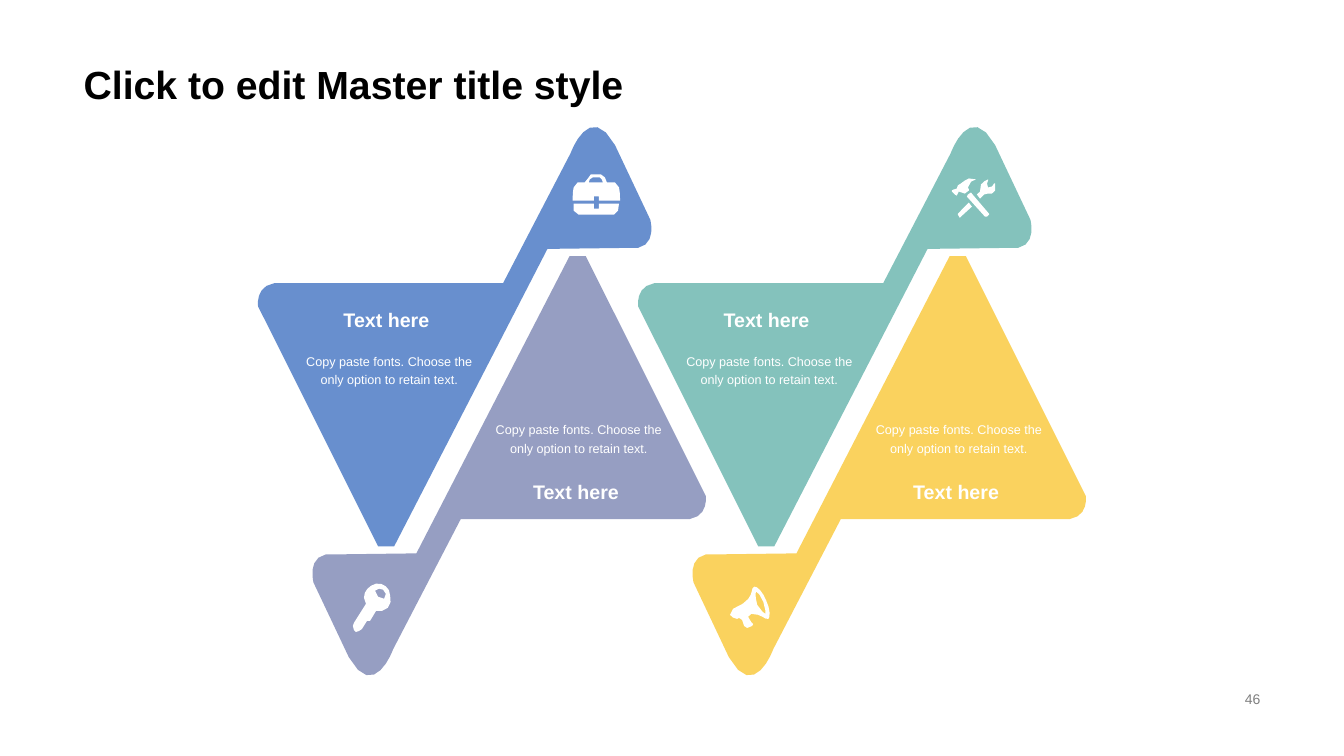
"""Build a slide of four interlocking triangle ribbons with icons and captions."""
from dataclasses import dataclass
from math import dist

from pptx import Presentation
from pptx.dml.color import RGBColor
from pptx.enum.text import MSO_ANCHOR as Anchor, MSO_AUTO_SIZE as AutoSize, PP_ALIGN as Align
from pptx.util import Inches, Pt

Segment = tuple[int, ...]
Contour = list[Segment]


@dataclass(frozen=True)
class Theme:
    font: str = "Arial"
    black: str = "000000"
    white: str = "FFFFFF"
    grey: str = "7F7F7F"
    blue: str = "688FCE"
    teal: str = "84C2BC"
    lilac: str = "969EC2"
    yellow: str = "FAD25E"
    title: int = 28
    heading: int = 14
    body: int = 9
    number: int = 10


@dataclass(frozen=True)
class Panel:
    left: float
    color: str
    flipped: bool
    icon: list[Contour]
    icon_left: float
    icon_top: float


THEME = Theme()
HEADING = "Text here "
BODY = "Copy paste fonts. Choose the only option to retain text."
STEP_LENGTH, MOST_STEPS = 5, 8
RIBBON_WIDTH, RIBBON_HEIGHT = 401, 443

RIBBON = [[
    (138, 443), (122, 443), (3, 205), (3, 205, 0, 185, 19, 182), (246, 182), (313, 53),
    (313, 53, 332, 0, 357, 45), (392, 119), (392, 119, 401, 152, 368, 147), (290, 148),
]]
BRIEFCASE = [
    [(21, 22), (26, 22), (26, 26), (47, 26), (47, 26, 47, 16, 46, 13),
     (46, 9, 45, 8, 42, 8), (34, 8), (32, 5, 32, 3, 32, 3), (31, 1, 30, 0, 28, 0),
     (18, 0), (16, 0, 16, 1, 16, 3), (15, 3, 14, 5, 12, 8), (5, 8),
     (1, 8, 1, 9, 1, 13), (0, 16, 0, 26, 0, 26), (21, 26)],
    [(17, 5), (18, 4, 18, 3, 20, 3), (27, 3), (28, 3, 28, 4, 29, 5),
     (29, 5, 30, 7, 30, 8), (16, 8)],
    [(26, 34), (21, 34), (21, 29), (1, 29), (1, 29, 1, 33, 1, 36),
     (1, 38, 2, 40, 6, 40), (41, 40), (44, 40, 45, 38, 45, 36),
     (45, 33, 46, 29, 46, 29), (26, 29)],
]
TOOLS = [
    [(7, 13), (9, 12, 10, 12, 13, 15), (14, 15, 16, 12, 17, 12), (17, 11),
     (16, 11, 16, 10, 16, 9), (12, 4, 26, 1, 24, 1), (23, 0, 18, 0, 17, 0),
     (15, 1, 11, 3, 9, 5), (7, 6, 6, 7, 6, 7), (6, 8, 6, 9, 5, 10),
     (3, 11, 3, 10, 2, 11), (2, 12, 1, 12, 0, 12), (0, 13), (3, 16),
     (3, 17, 4, 17, 5, 17), (5, 16, 6, 15, 6, 15)],
    [(19, 14), (16, 16), (15, 18), (33, 38), (33, 39, 34, 39, 35, 38), (37, 36), (37, 35)],
    [(43, 5), (42, 5), (42, 5, 40, 7, 40, 8), (39, 9, 38, 11, 36, 9),
     (33, 7, 34, 6, 35, 5), (35, 5, 36, 2, 36, 2), (37, 2, 36, 1, 36, 1),
     (35, 2, 30, 3, 29, 6), (29, 9, 30, 11, 28, 13), (25, 16), (28, 20), (32, 16),
     (33, 15, 34, 15, 36, 15), (39, 16, 41, 15, 43, 12)],
    [(6, 35), (6, 36), (8, 39), (9, 38), (20, 28), (17, 24)],
]
KEY = [
    [(37, 13), (37, 5, 30, 0, 23, 1), (16, 3, 11, 8, 11, 15), (11, 17, 12, 19, 13, 21),
     (1, 40), (0, 40, 0, 42, 0, 43), (1, 47), (1, 48, 2, 49, 3, 49), (6, 48),
     (7, 48, 8, 47, 9, 46), (14, 38), (17, 38), (23, 28), (24, 29, 28, 28, 29, 28),
     (36, 27, 39, 19, 37, 13)],
    [(31, 16), (30, 19, 28, 17, 25, 14), (23, 13, 20, 12, 22, 8),
     (24, 6, 28, 5, 30, 7), (33, 9, 34, 13, 31, 16)],
]
MEGAPHONE = [
    [(36, 15), (33, 7, 27, 0, 24, 1), (19, 3, 27, 13, 3, 23), (0, 24, 0, 27, 0, 29),
     (1, 31, 5, 33, 7, 33), (9, 32), (10, 34, 12, 33, 12, 34), (13, 36, 14, 39, 14, 40),
     (15, 41, 16, 42, 17, 42), (18, 42, 21, 41, 22, 40), (23, 40, 23, 39, 23, 38),
     (23, 37, 21, 37, 21, 36), (20, 35, 19, 32, 18, 31), (18, 30, 19, 28, 21, 28),
     (32, 28, 34, 34, 38, 33), (40, 32, 40, 23, 36, 15)],
    [(35, 28), (35, 28, 30, 25, 27, 19), (25, 12, 25, 6, 26, 6),
     (27, 6, 31, 10, 33, 16), (36, 23, 35, 28, 35, 28)],
]
PANELS = [
    Panel(2.53, THEME.blue, False, BRIEFCASE, 5.68, 1.73),
    Panel(6.30, THEME.teal, False, TOOLS, 9.44, 1.77),
    Panel(3.02, THEME.lilac, True, KEY, 3.50, 5.78),
    Panel(6.79, THEME.yellow, True, MEGAPHONE, 7.24, 5.81),
]


def flatten(contour: Contour) -> list[tuple[float, float]]:
    """Turn corners (pairs) and cubic curves (sextets) into points, in hundredths of an inch."""
    points = [contour[0]]
    for segment in contour[1:]:
        if len(segment) == 2:
            points.append(segment)
            continue
        x0, y0 = points[-1]
        x1, y1, x2, y2, x3, y3 = segment
        steps = min(MOST_STEPS, max(1, round(dist((x0, y0), (x3, y3)) / STEP_LENGTH)))
        for step in range(1, steps + 1):
            t = step / steps
            a, b, c, d = (1 - t) ** 3, 3 * t * (1 - t) ** 2, 3 * t * t * (1 - t), t ** 3
            points.append((a * x0 + b * x1 + c * x2 + d * x3, a * y0 + b * y1 + c * y2 + d * y3))
    return points


def draw_outline(page, contours: list[Contour], left: float, top: float, color: str,
                 flipped: bool = False) -> None:
    """Draw closed contours as one filled freeform, optionally turned half round."""
    builder = None
    for contour in contours:
        points = flatten(contour)
        if flipped:
            points = [(RIBBON_WIDTH - x, RIBBON_HEIGHT - y) for x, y in points]
        places = [(Inches(left + x / 100), Inches(top + y / 100)) for x, y in points]
        if builder is None:
            builder = page.shapes.build_freeform(*places[0])
        else:
            builder.move_to(*places[0])
        builder.add_line_segments(places[1:], close=True)
    shape = builder.convert_to_shape()
    shape.shadow.inherit = False
    shape.fill.solid()
    shape.fill.fore_color.rgb = RGBColor.from_string(color)
    shape.line.fill.background()


def write(box, text: str, *, size: int, color: str, bold: bool = False, align=Align.CENTER,
          anchor=Anchor.TOP, spacing: float = 1.0) -> None:
    """Put one formatted paragraph into a shape."""
    frame = box.text_frame
    frame.word_wrap = True
    frame.auto_size = AutoSize.NONE
    frame.vertical_anchor = anchor
    para = frame.paragraphs[0]
    para.alignment = align
    para.line_spacing = spacing
    span = para.add_run()
    span.text = text
    span.font.name = THEME.font
    span.font.size = Pt(size)
    span.font.bold = bold
    span.font.color.rgb = RGBColor.from_string(color)


def add_box(page, left: float, top: float, width: float, height: float):
    """Add an empty text box."""
    return page.shapes.add_textbox(Inches(left), Inches(top), Inches(width), Inches(height))


def draw_panel(page, panel: Panel) -> None:
    """Draw a ribbon with its icon, heading and body text."""
    flipped = panel.flipped
    draw_outline(page, RIBBON, panel.left, 2.54 if flipped else 0.99, panel.color, flipped)
    draw_outline(page, panel.icon, panel.icon_left, panel.icon_top, THEME.white)
    text_left = panel.left + (1.7 if flipped else 0.31)
    heading = add_box(page, text_left, 4.71 if flipped else 3.01, 2.04, 0.34)
    write(heading, HEADING, size=THEME.heading, color=THEME.white, bold=True)
    body = add_box(page, text_left, 4.11 if flipped else 3.36, 2.04, 0.6)
    write(body, BODY, size=THEME.body, color=THEME.white, spacing=1.2,
          anchor=Anchor.TOP if flipped else Anchor.MIDDLE)


def main() -> None:
    """Build and save the deck."""
    deck = Presentation()
    deck.slide_width, deck.slide_height = Inches(13.33), Inches(7.5)
    page = deck.slides.add_slide(deck.slide_layouts[5])
    title = page.shapes.title
    title.left, title.top = Inches(0.73), Inches(0)
    title.width, title.height = Inches(11.87), Inches(1.12)
    write(title, "Click to edit Master title style", size=THEME.title, color=THEME.black,
          bold=True, align=Align.LEFT, anchor=Anchor.BOTTOM, spacing=0.9)
    number = add_box(page, 9.42, 6.82, 3.18, 0.23)
    write(number, "46", size=THEME.number, color=THEME.grey, align=Align.RIGHT,
          anchor=Anchor.MIDDLE)
    for panel in PANELS:
        draw_panel(page, panel)
    deck.save("out.pptx")


main()
